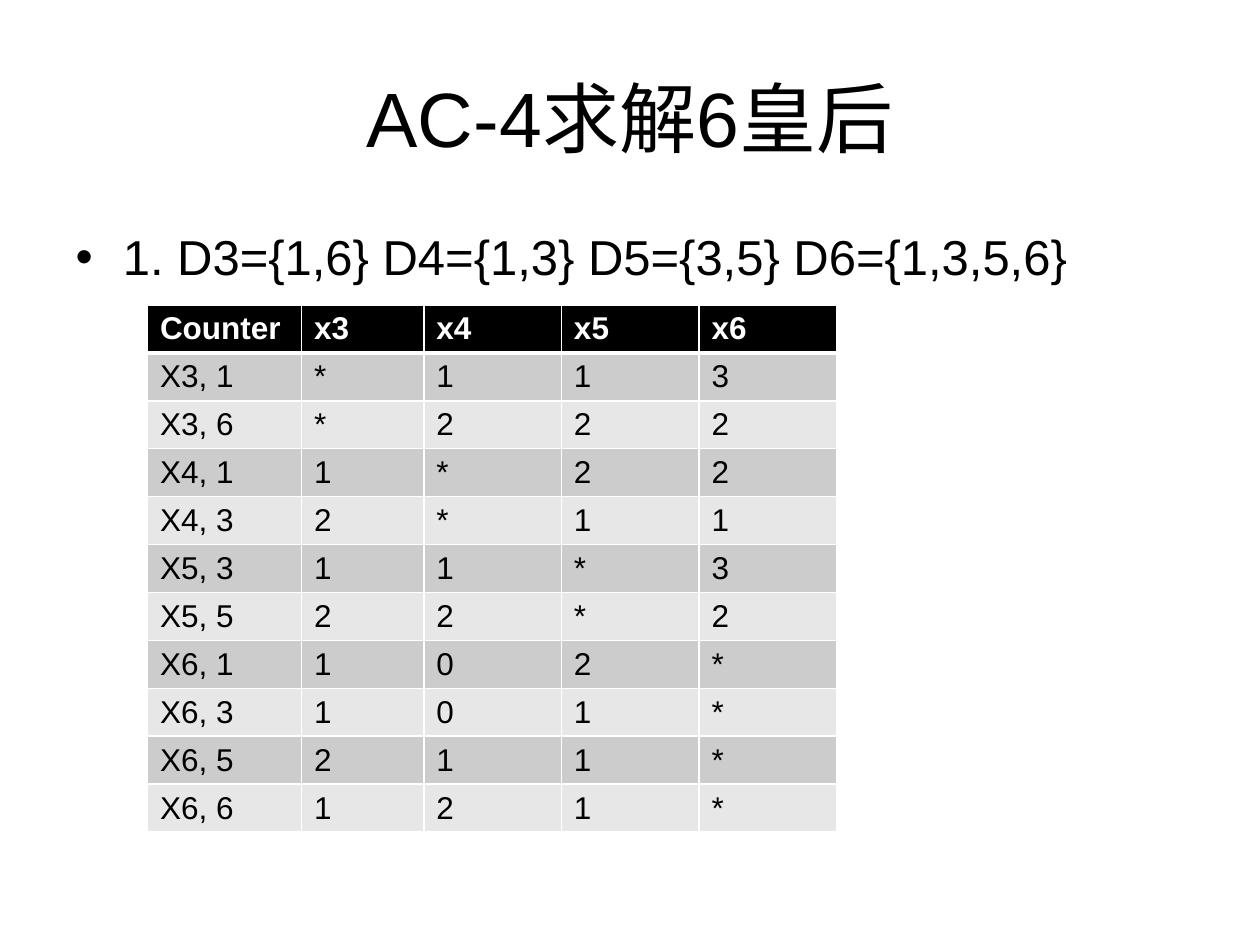
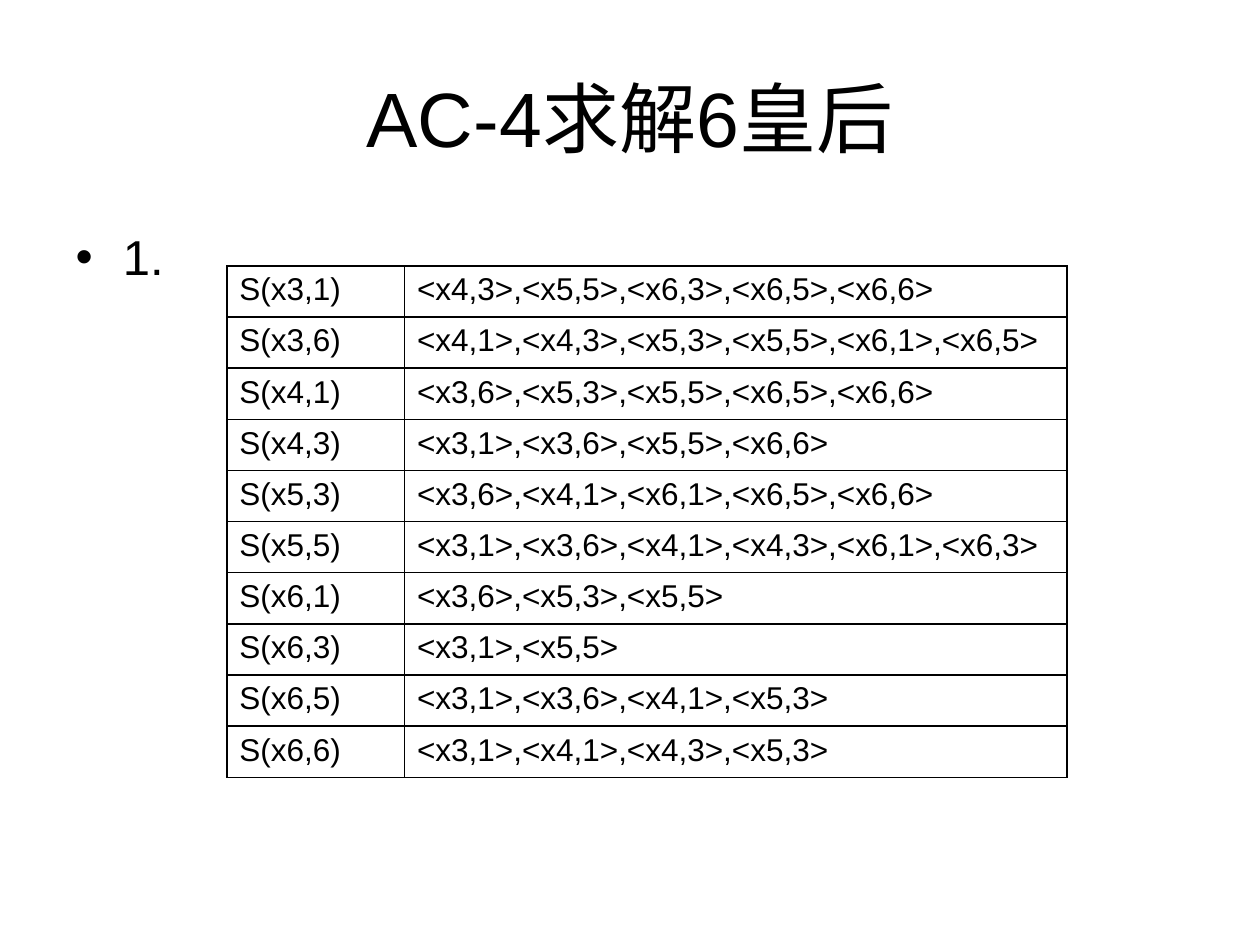
from lxml.etree import SubElement
from pptx import Presentation
from pptx.dml.color import RGBColor
from pptx.enum.text import MSO_ANCHOR, PP_ALIGN
from pptx.oxml.ns import qn
from pptx.util import Inches, Pt

MIDDLE, CENTER = MSO_ANCHOR.MIDDLE, PP_ALIGN.CENTER
WIDE, HIGH = Inches(10), Inches(7.5)
COLS, ROWS = 100, 75
FONT = "Arial"
BLACK, WHITE, DARK, LIGHT = "000000", "FFFFFF", "CCCCCC", "E7E7E7"
TITLE = "AC-4求解6皇后"
TITLE_BOX = (5, 3, 90, 12.5)
BODY_BOX = (5, 17.5, 90, 49.5)
COUNT_BOX = (11.7, 24.2, 54.7, 44)
SET_BOX = (18, 21.1, 66.7, 40.6)

COUNTS = [
    ("Counter", "x3", "x4", "x5", "x6"),
    ("X3, 1", "*", "1", "1", "3"),
    ("X3, 6", "*", "2", "2", "2"),
    ("X4, 1", "1", "*", "2", "2"),
    ("X4, 3", "2", "*", "1", "1"),
    ("X5, 3", "1", "1", "*", "3"),
    ("X5, 5", "2", "2", "*", "2"),
    ("X6, 1", "1", "0", "2", "*"),
    ("X6, 3", "1", "0", "1", "*"),
    ("X6, 5", "2", "1", "1", "*"),
    ("X6, 6", "1", "2", "1", "*"),
]
SETS = [
    ("S(x3,1)", "<x4,3>,<x5,5>,<x6,3>,<x6,5>,<x6,6>"),
    ("S(x3,6)", "<x4,1>,<x4,3>,<x5,3>,<x5,5>,<x6,1>,<x6,5>"),
    ("S(x4,1)", "<x3,6>,<x5,3>,<x5,5>,<x6,5>,<x6,6>"),
    ("S(x4,3)", "<x3,1>,<x3,6>,<x5,5>,<x6,6>"),
    ("S(x5,3)", "<x3,6>,<x4,1>,<x6,1>,<x6,5>,<x6,6>"),
    ("S(x5,5)", "<x3,1>,<x3,6>,<x4,1>,<x4,3>,<x6,1>,<x6,3>"),
    ("S(x6,1)", "<x3,6>,<x5,3>,<x5,5>"),
    ("S(x6,3)", "<x3,1>,<x5,5>"),
    ("S(x6,5)", "<x3,1>,<x3,6>,<x4,1>,<x5,3>"),
    ("S(x6,6)", "<x3,1>,<x4,1>,<x4,3>,<x5,3>"),
]


def color(code):
    """Turn a hex string into a colour."""
    return RGBColor.from_string(code)


def span(box):
    """Turn a box in grid columns and rows into slide lengths."""
    left, top, width, height = box
    return (int(WIDE * left / COLS), int(HIGH * top / ROWS),
            int(WIDE * width / COLS), int(HIGH * height / ROWS))


def write(frame, text, size, ink=BLACK, bold=False):
    """Fill a text frame with one styled paragraph."""
    frame.text = text
    for run in frame.paragraphs[0].runs:
        font = run.font
        font.name, font.size, font.bold = FONT, Pt(size), bold
        font.color.rgb = color(ink)


def place(shape, box):
    """Move a shape to a grid box."""
    shape.left, shape.top, shape.width, shape.height = span(box)


def edge(cell, ink, top=1, base=1):
    """Draw the four borders of a table cell."""
    props = cell._tc.get_or_add_tcPr()
    sides = (("L", 1), ("R", 1), ("T", top), ("B", base))
    for spot, (side, size) in enumerate(sides):
        line = SubElement(props, qn("a:ln" + side), w=str(Pt(size)))
        fill = SubElement(line, qn("a:solidFill"))
        SubElement(fill, qn("a:srgbClr"), val=ink)
        props.insert(spot, line)


def add_page(deck, note):
    """Add a slide with the shared title and one bullet."""
    page = deck.slides.add_slide(deck.slide_layouts[1])
    title, body = page.shapes.title, page.placeholders[1]
    place(title, TITLE_BOX)
    write(title.text_frame, TITLE, 44)
    title.text_frame.vertical_anchor = MIDDLE
    title.text_frame.paragraphs[0].alignment = CENTER
    place(body, BODY_BOX)
    write(body.text_frame, note, 28)
    return page


def add_grid(page, box, data, parts, row, style):
    """Add a table whose columns share the box by parts."""
    frame = page.shapes.add_table(len(data), len(parts), *span(box))
    table = frame.table
    table.first_row = table.horz_banding = False
    for column, part in zip(table.columns, parts):
        column.width = int(span(box)[2] * part / sum(parts))
    for index, words in enumerate(data):
        table.rows[index].height = int(HIGH * row / ROWS)
        for cell, text in zip(table.rows[index].cells, words):
            style(cell, text, index)
    place(frame, box)


def band(cell, text, index):
    """Style a cell of the banded counter table."""
    head = index == 0
    write(cell.text_frame, text, 18, WHITE if head else BLACK, head)
    cell.fill.solid()
    shade = BLACK if head else DARK if index % 2 else LIGHT
    cell.fill.fore_color.rgb = color(shade)
    edge(cell, WHITE, 3 if index == 1 else 1, 3 if head else 1)


def plain(cell, text, index):
    """Style a cell of the ruled support table."""
    write(cell.text_frame, text, 18)
    cell.fill.background()
    edge(cell, BLACK)


def main():
    """Build and save both slides."""
    deck = Presentation()
    deck.slide_width, deck.slide_height = WIDE, HIGH
    page = add_page(deck, "1. D3={1,6} D4={1,3} D5={3,5} D6={1,3,5,6}")
    add_grid(page, COUNT_BOX, COUNTS, (122, 97, 109, 109, 109), 3.1, band)
    page = add_page(deck, "1.")
    add_grid(page, SET_BOX, SETS, (141, 526), 4.06, plain)
    deck.save("out.pptx")


if __name__ == "__main__":
    main()
